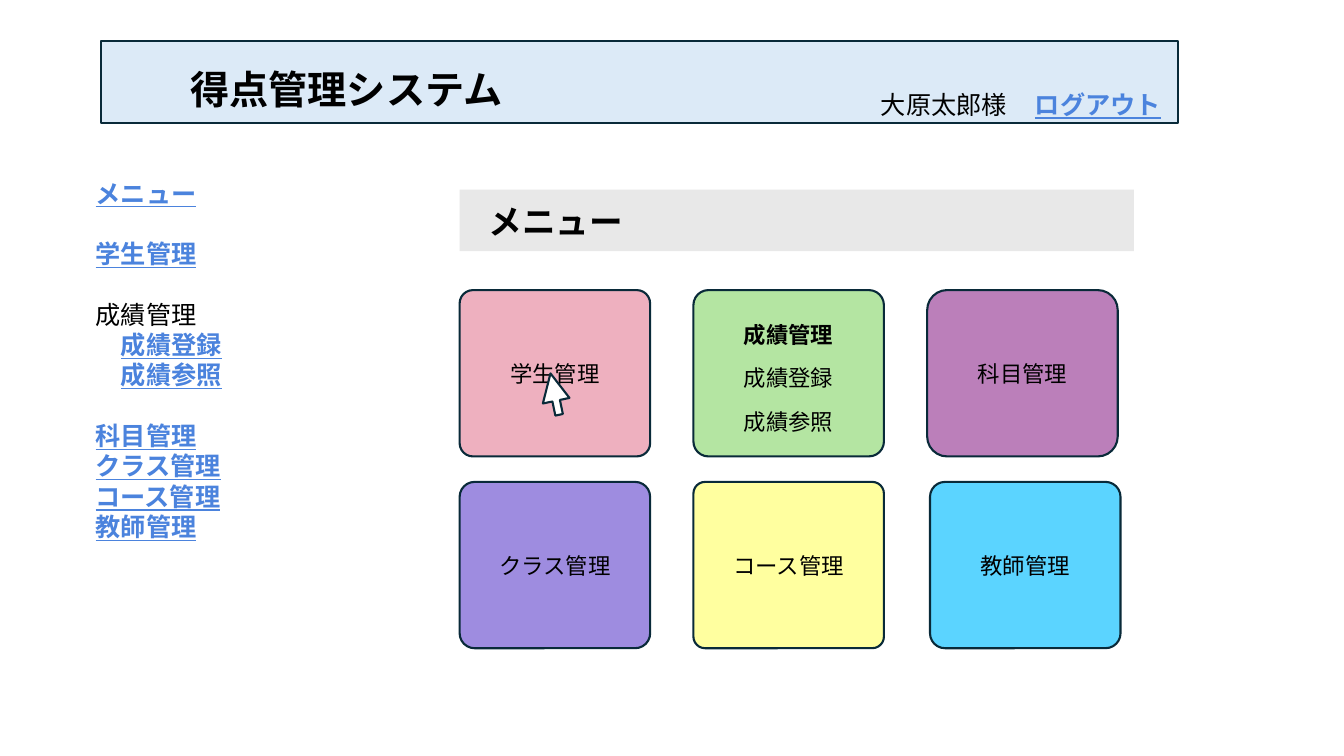
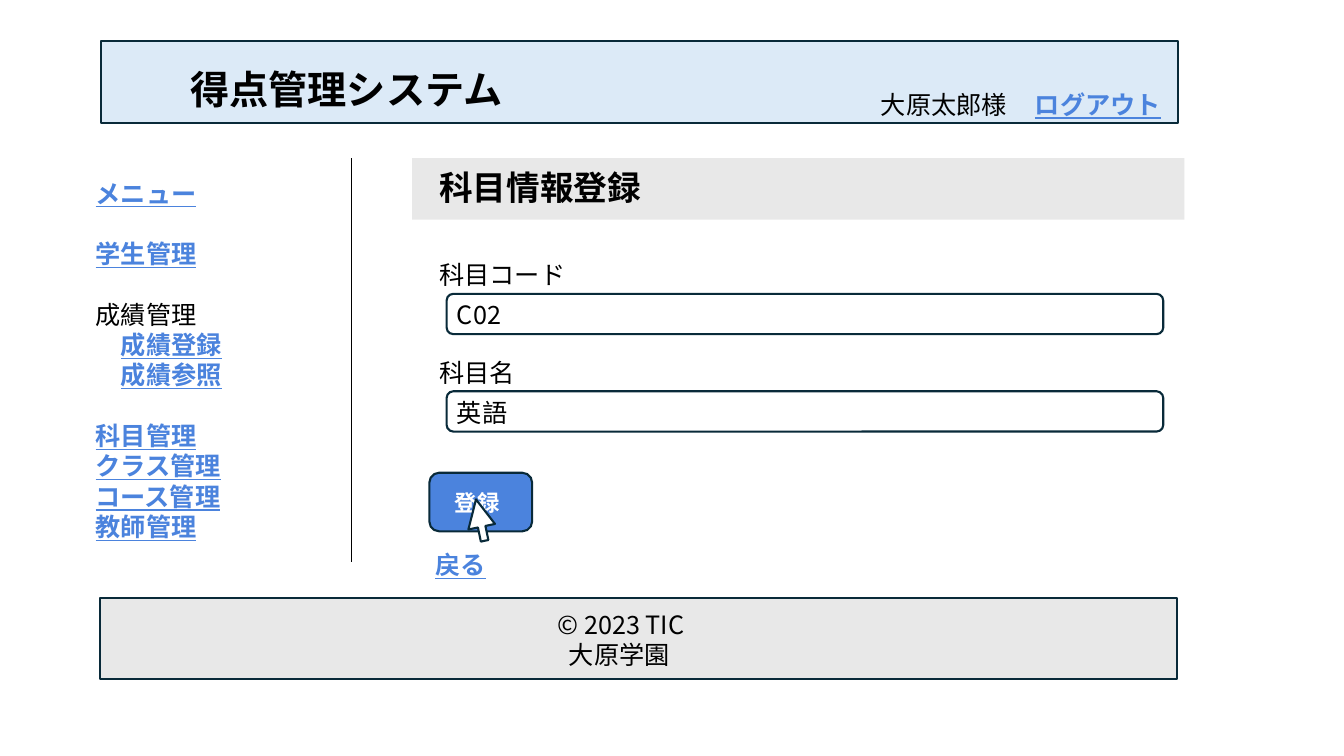
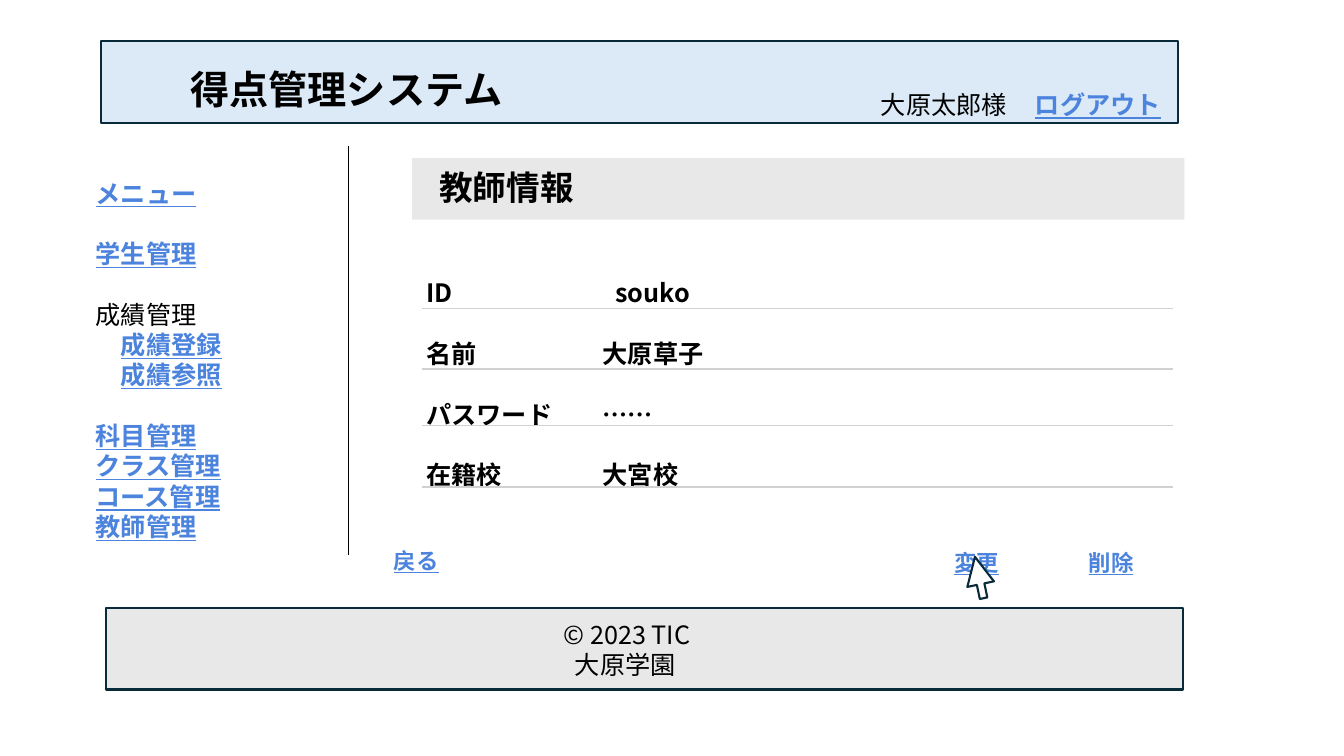
"""Build three screens of a score management system."""
from lxml import etree
from pptx import Presentation
from pptx.dml.color import RGBColor
from pptx.enum.shapes import MSO_CONNECTOR, MSO_SHAPE
from pptx.enum.text import MSO_ANCHOR, PP_ALIGN
from pptx.oxml.ns import qn
from pptx.util import Pt

RECT, ROUND, ARROW = MSO_SHAPE.RECTANGLE, MSO_SHAPE.ROUNDED_RECTANGLE, MSO_SHAPE.UP_ARROW
TOP, MIDDLE = MSO_ANCHOR.TOP, MSO_ANCHOR.MIDDLE
LEFT, CENTER = PP_ALIGN.LEFT, PP_ALIGN.CENTER
STRAIGHT = MSO_CONNECTOR.STRAIGHT

FACE = "Noto Sans CJK JP"
NAVY, BLUE, SKY, GRAY = "092A39", "4B83DD", "DCEAF7", "E8E8E8"
BLACK, WHITE, RULE = "000000", "FFFFFF", "D1D1D1"
LINK = {"color": BLUE, "bold": True, "underline": True}
PITCH = 1.203
PAD = {"left": 7.2, "top": 4.6, "right": 7.2, "bottom": 3.6}

SYSTEM, USER, LOGOUT = "得点管理システム", "大原太郎様", "ログアウト"
OWNER = ["© 2023 TIC", ("大原学園", {"indent": 8})]
GAP = {"before": 18 * PITCH}
MENU = [
    "メニュー",
    ("学生管理", GAP),
    ("成績管理", {**GAP, "color": BLACK, "bold": False, "underline": False}),
    ("成績登録", {"indent": 18}),
    ("成績参照", {"indent": 18}),
    ("科目管理", GAP),
    "クラス管理",
    "コース管理",
    "教師管理",
]
CARDS = [
    (["学生管理"], "EEB0BF", 0.08, 0),
    ([("成績管理", {"bold": True}), ("成績登録", {"before": 12}),
      ("成績参照", {"before": 12})], "B4E5A2", 0.09, 0),
    (["科目管理"], "BB7FBA", 0.12, 0),
    (["クラス管理"], "9E8CE0", 0.09, 0),
    (["コース管理"], "FFFF9F", 0.07, 0),
    (["教師管理"], "5BD4FF", 0.09, 2),
]
FIELDS = [("科目コード", "C02"), ("科目名", "英語")]
TEACHER = [("ID", "souko", 135), ("名前", "大原草子", 126),
           ("パスワード", "……", 126), ("在籍校", "大宮校", 126)]
RULES = [220.3, 263.5, 303.8, 347.8]


def rgb(code):
    """Turn a hex string into a colour."""
    return RGBColor.from_string(code)


def write(frame, lines, size=18, anchor=TOP, align=LEFT, pad=None, lead=1, **base):
    """Fill a text frame; a line is a string or a (string, format) pair."""
    frame.word_wrap = True
    frame.vertical_anchor = anchor
    for side, gap in {**PAD, **(pad or {})}.items():
        setattr(frame, "margin_" + side, Pt(gap))
    pairs = [(line, {}) if isinstance(line, str) else line for line in lines]
    frame.text = "\n".join(text for text, _ in pairs)
    for para, (_, own) in zip(frame.paragraphs, pairs):
        form = {"color": BLACK, **base, **own}
        props = para._p.get_or_add_pPr()
        props.set("marL", str(Pt(form.pop("indent", 0))))
        stop = form.pop("tab", None)
        if stop:
            tabs = etree.SubElement(props, qn("a:tabLst"))
            etree.SubElement(tabs, qn("a:tab"), pos=str(Pt(stop)), algn="l")
        layout = {"alignment": align, "line_spacing": Pt(size * PITCH * lead),
                  "space_before": Pt(form.pop("before", 0))}
        for key, value in layout.items():
            setattr(para, key, value)
        color = form.pop("color")
        for run in para.runs:
            for key, value in {"name": FACE, "size": Pt(size), **form}.items():
                setattr(run.font, key, value)
            run.font.color.rgb = rgb(color)
            etree.SubElement(run.font._element, qn("a:ea"), typeface=FACE)


def label(slide, x, y, w, h, lines, **form):
    """Add a text box."""
    box = slide.shapes.add_textbox(Pt(x), Pt(y), Pt(w), Pt(h))
    write(box.text_frame, lines, **form)


def block(slide, kind, x, y, w, h, fill=None, edge=NAVY, adjust=()):
    """Add a preset shape with a plain fill and outline."""
    shape = slide.shapes.add_shape(kind, Pt(x), Pt(y), Pt(w), Pt(h))
    shape.shadow.inherit = False
    if fill:
        shape.fill.solid()
        shape.fill.fore_color.rgb = rgb(fill)
    else:
        shape.fill.background()
    if edge:
        shape.line.color.rgb = rgb(edge)
        shape.line.width = Pt(1.5)
    else:
        shape.line.fill.background()
    for spot, value in enumerate(adjust):
        shape.adjustments[spot] = value
    return shape


def rule(slide, x1, y1, x2, y2, color):
    """Add a thin straight line."""
    line = slide.shapes.add_connector(STRAIGHT, Pt(x1), Pt(y1), Pt(x2), Pt(y2))
    line.line.color.rgb = rgb(color)
    line.line.width = Pt(1)
    etree.SubElement(line._element.spPr, qn("a:effectLst"))


def cursor(slide, x, y):
    """Add the mouse pointer."""
    block(slide, ARROW, x, y, 19.4, 30.2, WHITE, adjust=(0.283, 1.028)).rotation = 348.2


def header(slide):
    """Add the top band and the side menu."""
    block(slide, RECT, 72, 29.5, 769.7, 58.3, SKY)
    label(slide, 128.9, 41.8, 480, 41, [SYSTEM], size=28, bold=True)
    label(slide, 622.1, 59, 106, 28.8, [USER])
    label(slide, 732.2, 59, 106, 28.8, [LOGOUT], **LINK)
    label(slide, 61.2, 122.4, 174.2, 269.3, MENU, **LINK)


def heading(slide, text, x=294.5, y=113, w=551.5, dx=12.2, dy=1.5):
    """Add the grey page heading."""
    block(slide, RECT, x, y, w, 43.9, GRAY, None)
    label(slide, x + dx, y + dy, 380, 36, [text], size=24, bold=True)


def footer(slide, x, y):
    """Add the copyright band."""
    band = block(slide, RECT, x, y, 769.7, 58.3, GRAY)
    write(band.text_frame, OWNER, anchor=MIDDLE, pad={"left": 327})


def home(slide):
    """Draw the menu screen."""
    heading(slide, "メニュー", 328.3, 135.4, 481.7, 13.7, 3.6)
    for spot, (lines, fill, bend, nudge) in enumerate(CARDS):
        row, col = divmod(spot, 3)
        card = block(slide, ROUND, 328.3 + 167 * col + nudge, 207.2 + 137 * row,
                     136.1, 118.8, fill, adjust=(bend,))
        pad = {"top": 10 if len(lines) > 1 else 4.6}
        write(card.text_frame, lines, size=16, anchor=MIDDLE, align=CENTER, pad=pad)
    cursor(slide, 386.6, 266.4)


def subject(slide):
    """Draw the subject entry screen."""
    rule(slide, 251.3, 113, 251.3, 401.8, BLACK)
    heading(slide, "科目情報登録")
    for spot, (name, value) in enumerate(FIELDS):
        y = 180.7 + 69.6 * spot
        label(slide, 306.7, y, 128.9, 28.8, [name])
        field = block(slide, ROUND, 319, y + 29.2, 511.9, 28.8)
        write(field.text_frame, [value], anchor=MIDDLE, pad={"left": 6})
    button = block(slide, ROUND, 306.7, 337.7, 73.4, 41.8, BLUE)
    write(button.text_frame, ["登録"], size=16, anchor=MIDDLE, align=CENTER,
          pad={"left": 4, "right": 9}, color=WHITE, bold=True)
    label(slide, 303.8, 388.1, 152.6, 28.8, ["戻る"], **LINK)
    footer(slide, 71.3, 427)
    cursor(slide, 333.4, 356.4)


def teacher(slide):
    """Draw the teacher detail screen."""
    rule(slide, 249.1, 104.4, 249.1, 396.7, BLACK)
    heading(slide, "教師情報")
    rows = [(f"{name}\t{value}", {"tab": stop}) for name, value, stop in TEACHER]
    label(slide, 297.4, 172.1, 488.9, 175.7, rows, lead=2, bold=True)
    for y in RULES:
        rule(slide, 301.7, y, 838.1, y, RULE)
    for text, x, y in [("戻る", 274.3, 385.9), ("変更", 674.6, 387.4), ("削除", 770.6, 387.4)]:
        label(slide, x, y, 60, 26.6, [text], size=16, **LINK)
    footer(slide, 75.6, 434.2)
    cursor(slide, 689.8, 397.4)


def main():
    """Build and save the deck."""
    deck = Presentation()
    deck.slide_width, deck.slide_height = Pt(960), Pt(540)
    for draw in (home, subject, teacher):
        slide = deck.slides.add_slide(deck.slide_layouts[6])
        header(slide)
        draw(slide)
    deck.save("out.pptx")


if __name__ == "__main__":
    main()
